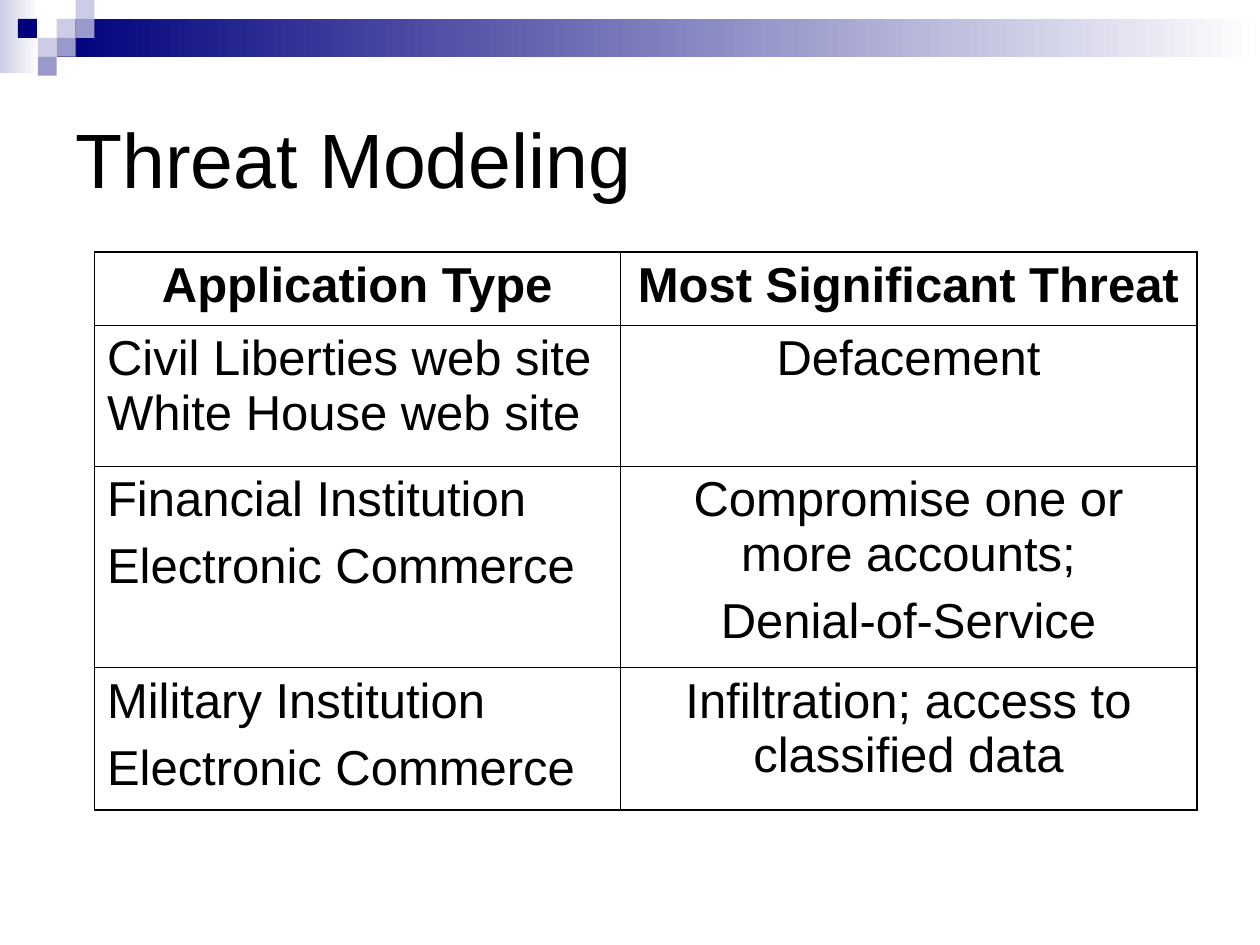
from lxml.etree import SubElement
from pptx import Presentation
from pptx.dml.color import RGBColor
from pptx.enum.shapes import MSO_SHAPE
from pptx.enum.text import MSO_ANCHOR, PP_ALIGN
from pptx.oxml.ns import qn
from pptx.util import Inches, Pt

TITLE = "Threat Modeling"
# Each cell is a list of paragraphs; a newline is a line break inside one.
ROWS = [
    (["Application Type"], ["Most Significant Threat"]),
    (["Civil Liberties web site\nWhite House web site"], ["Defacement"]),
    (["Financial Institution", "Electronic Commerce"],
     ["Compromise one or more accounts;", "Denial-of-Service"]),
    (["Military Institution", "Electronic Commerce"],
     ["Infiltration; access to classified data"]),
]
COLUMN_WIDTHS = [4.17, 4.58]
ROW_HEIGHTS = [0.58, 1.12, 1.59, 1.13]

BLACK, NAVY, LILAC, PALE, WHITE = "000000", "00007D", "9999CC", "CCCCE6", "FFFFFF"
FONT = "Arial"
OUTER, INNER = 1.08, 0.45
TILE = 0.15
BANDS = [((0, 0, 0.31, 0.58), PALE), ((3 * TILE, TILE, 9.55, 2 * TILE), NAVY)]
# Column and row on the tile grid, then colour.
TILES = [(3, 1, PALE), (4, 0, PALE), (4, 1, LILAC), (2, 2, PALE),
         (0.95, 1, NAVY), (3, 2, LILAC), (2, 3, LILAC)]


def color(value):
    return RGBColor.from_string(value)


def add_rectangle(slide, place):
    box = slide.shapes.add_shape(MSO_SHAPE.RECTANGLE, *map(Inches, place))
    box.shadow.inherit = False
    box.line.fill.background()
    return box


def add_text(para, text, size, bold=False):
    for number, line in enumerate(text.split("\n")):
        if number:
            para.add_line_break()
        span = para.add_run()
        span.text = line
        span.font.name = FONT
        span.font.size = Pt(size)
        span.font.bold = bold
        span.font.color.rgb = color(BLACK)


def set_borders(cell, widths):
    """Draw the borders, given in points as left, right, top, bottom."""
    properties = cell._tc.get_or_add_tcPr()
    for position, (side, width) in enumerate(zip("LRTB", widths)):
        line = SubElement(properties, qn(f"a:ln{side}"), w=str(Pt(width)))
        SubElement(SubElement(line, qn("a:solidFill")), qn("a:srgbClr"), val=BLACK)
        properties.insert(position, line)


def add_decoration(slide):
    for place, shade in BANDS:
        fill = add_rectangle(slide, place).fill
        fill.gradient()
        fill.gradient_angle = 0
        for stop, value in zip(fill.gradient_stops, (shade, WHITE)):
            stop.color.rgb = color(value)
    for column, row, shade in TILES:
        fill = add_rectangle(slide, (column * TILE, row * TILE, TILE, TILE)).fill
        fill.solid()
        fill.fore_color.rgb = color(shade)


def add_title(slide):
    box = slide.shapes.add_textbox(*map(Inches, (0.5, 0.5, 9, 1.5)))
    box.text_frame.word_wrap = True
    box.text_frame.vertical_anchor = MSO_ANCHOR.MIDDLE
    add_text(box.text_frame.paragraphs[0], TITLE, 44)


def add_threat_table(slide):
    last_row, last_column = len(ROWS) - 1, len(COLUMN_WIDTHS) - 1
    place = (0.75, 2, sum(COLUMN_WIDTHS), sum(ROW_HEIGHTS))
    table = slide.shapes.add_table(last_row + 1, last_column + 1,
                                   *map(Inches, place)).table
    for column, width in zip(table.columns, COLUMN_WIDTHS):
        column.width = Inches(width)
    for row, height in zip(table.rows, ROW_HEIGHTS):
        row.height = Inches(height)
    for r, row in enumerate(ROWS):
        for c, texts in enumerate(row):
            cell = table.cell(r, c)
            cell.fill.background()
            edges = (c == 0, c == last_column, r == 0, r == last_row)
            set_borders(cell, [OUTER if edge else INNER for edge in edges])
            frame = cell.text_frame
            for number, text in enumerate(texts):
                para = frame.add_paragraph() if number else frame.paragraphs[0]
                para.space_before = Pt(7 if number else 0)
                centred = r == 0 or c == 1
                para.alignment = PP_ALIGN.CENTER if centred else PP_ALIGN.LEFT
                add_text(para, text, 28, bold=r == 0)


def main():
    deck = Presentation()
    deck.slide_width, deck.slide_height = Inches(10), Inches(7.5)
    slide = deck.slides.add_slide(deck.slide_layouts[6])
    add_decoration(slide)
    add_title(slide)
    add_threat_table(slide)
    deck.save("out.pptx")


if __name__ == "__main__":
    main()
